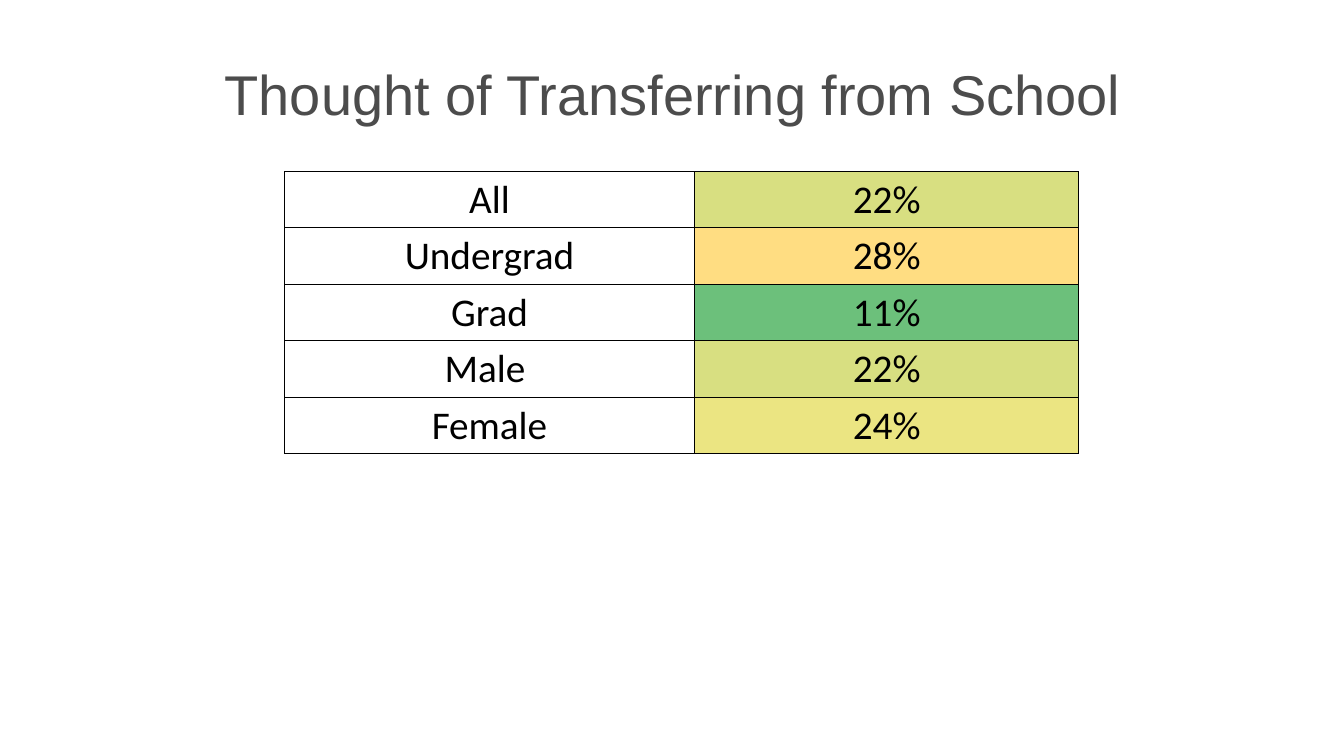
from lxml import etree
from pptx import Presentation
from pptx import util as u
from pptx.dml.color import RGBColor
from pptx.enum import text
from pptx.oxml import ns

BLACK = RGBColor(0x00, 0x00, 0x00)
GRAY = RGBColor(0x4C, 0x4C, 0x4C)
LIME = RGBColor(0xD8, 0xDF, 0x81)
ORANGE = RGBColor(0xFF, 0xDD, 0x82)
GREEN = RGBColor(0x6C, 0xC0, 0x7B)
YELLOW = RGBColor(0xEB, 0xE5, 0x82)

TITLE_FONT = {"name": "Arial", "size": u.Pt(40)}
CELL_FONT = {"name": "Calibri", "size": u.Pt(28), "bold": False}
CELL_FORMAT = {
    "vertical_anchor": text.MSO_ANCHOR.MIDDLE,
    "margin_left": u.Inches(0.01),
    "margin_right": u.Inches(0.01),
    "margin_top": u.Inches(0.01),
    "margin_bottom": 0,
}
ROW_HEIGHT = 0.56
COLUMN_WIDTHS = [4.07, 3.81]
GROUPS = [
    ("All", "22%", LIME),
    ("Undergrad", "28%", ORANGE),
    ("Grad", "11%", GREEN),
    ("Male ", "22%", LIME),
    ("Female", "24%", YELLOW),
]


def write(para, words, font, color):
    para.alignment = text.PP_ALIGN.CENTER
    span = para.add_run()
    span.text = words
    for name, value in font.items():
        setattr(span.font, name, value)
    span.font.color.rgb = color


def add_borders(cell):
    properties = cell._tc.get_or_add_tcPr()
    for side in ("lnL", "lnR", "lnT", "lnB"):
        line = etree.SubElement(properties, ns.qn(f"a:{side}"), w=str(u.Pt(0.5)))
        fill = etree.SubElement(line, ns.qn("a:solidFill"))
        etree.SubElement(fill, ns.qn("a:srgbClr"), val=str(BLACK))


deck = Presentation()
deck.slide_width = u.Inches(13.33)
deck.slide_height = u.Inches(7.5)
page = deck.slides.add_slide(deck.slide_layouts[6])

title = page.shapes.add_textbox(u.Inches(0.67), u.Inches(0.3), u.Inches(12), u.Inches(1.25))
title.text_frame.word_wrap = True
title.text_frame.vertical_anchor = text.MSO_ANCHOR.MIDDLE
write(title.text_frame.paragraphs[0], "Thought of Transferring from School", TITLE_FONT, GRAY)

table = page.shapes.add_table(
    len(GROUPS), len(COLUMN_WIDTHS), u.Inches(2.82), u.Inches(1.7),
    u.Inches(sum(COLUMN_WIDTHS)), u.Inches(ROW_HEIGHT * len(GROUPS)),
).table
table.first_row = False
table.horz_banding = False
for column, width in zip(table.columns, COLUMN_WIDTHS):
    column.width = u.Inches(width)

for row, (group, share, color) in zip(table.rows, GROUPS):
    row.height = u.Inches(ROW_HEIGHT)
    for cell, words in zip(row.cells, (group, share)):
        for name, value in CELL_FORMAT.items():
            setattr(cell, name, value)
        write(cell.text_frame.paragraphs[0], words, CELL_FONT, BLACK)
        add_borders(cell)
    group_cell, share_cell = row.cells
    group_cell.fill.background()
    share_cell.fill.solid()
    share_cell.fill.fore_color.rgb = color

deck.save("out.pptx")
